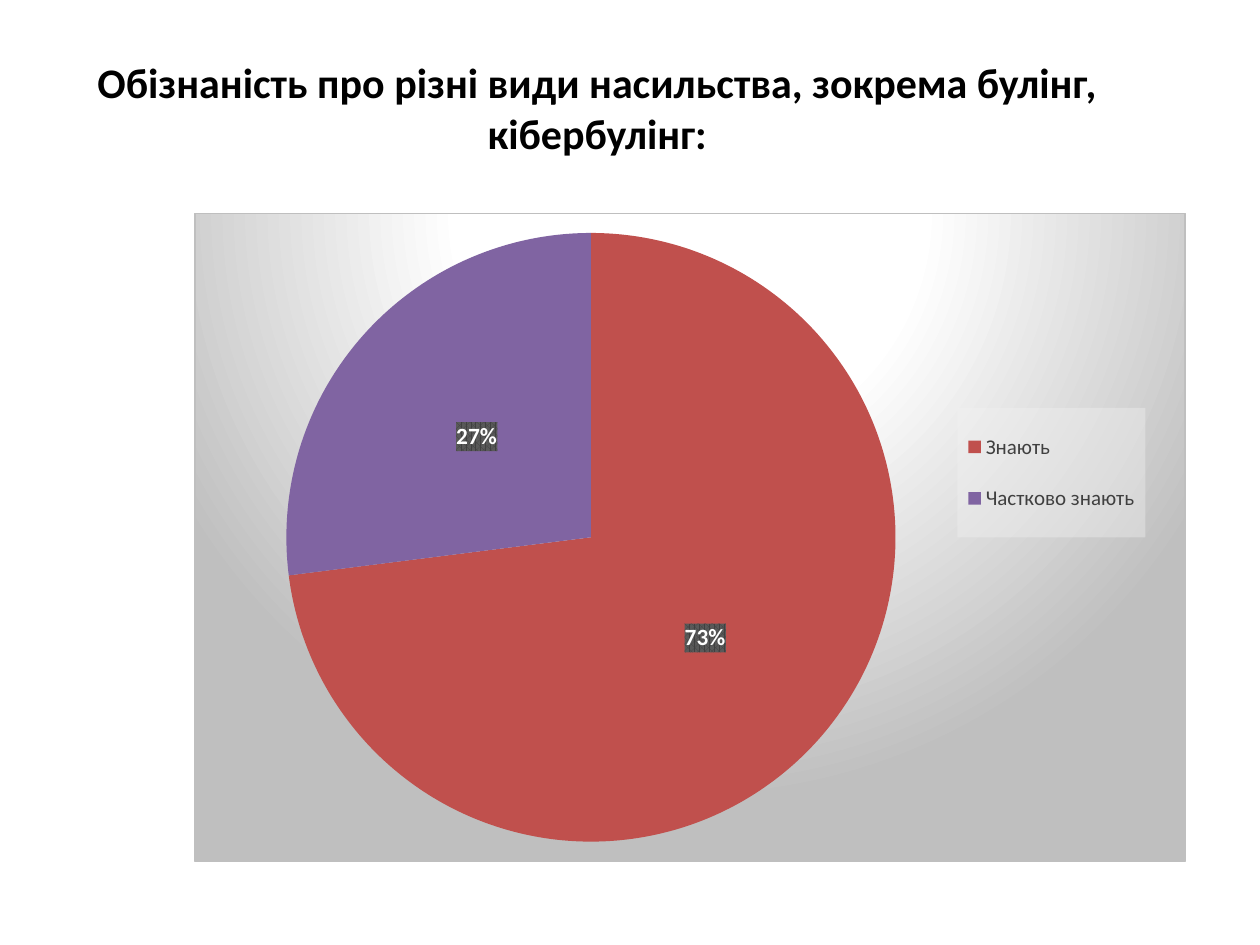
from lxml import etree
from pptx import Presentation
from pptx.chart.data import CategoryChartData
from pptx.dml.color import RGBColor
from pptx.enum.chart import XL_CHART_TYPE, XL_LABEL_POSITION, XL_LEGEND_POSITION
from pptx.enum.text import PP_ALIGN
from pptx.util import Pt

PIE = XL_CHART_TYPE.PIE
CENTER_LABEL = XL_LABEL_POSITION.CENTER
LEGEND_RIGHT = XL_LEGEND_POSITION.RIGHT
CENTER = PP_ALIGN.CENTER
CHART_NS = "http://schemas.openxmlformats.org/drawingml/2006/chart"
DRAW_NS = "http://schemas.openxmlformats.org/drawingml/2006/main"
FONT = "Calibri"
COLORS = {
    "title": "000000", "know": "C0504D", "partly": "8064A2",
    "light": "FFFFFF", "shade": "BFBFBF", "legend": "F2F2F2",
    "legend_text": "404040", "label_dark": "404040", "label_soft": "595959",
}


def chart_part(tag, content):
    return etree.fromstring(
        f'<c:{tag} xmlns:c="{CHART_NS}" xmlns:a="{DRAW_NS}">{content}</c:{tag}>')


def manual_layout(edges, inner=False):
    target = '<c:layoutTarget val="inner"/>' if inner else ""
    modes = '<c:xMode val="edge"/><c:yMode val="edge"/>'
    values = "".join(f'<c:{name} val="{value}"/>' for name, value in zip("xywh", edges))
    return chart_part("layout", f"<c:manualLayout>{target}{modes}{values}</c:manualLayout>")


deck = Presentation()
deck.slide_width, deck.slide_height = Pt(720), Pt(540)
page = deck.slides.add_slide(deck.slide_layouts[6])

box = page.shapes.add_textbox(Pt(35.3), Pt(29), Pt(612), Pt(202))
box.text_frame.word_wrap = True
para = box.text_frame.paragraphs[0]
para.alignment = CENTER
span = para.add_run()
span.text = "Обізнаність про різні види насильства, зокрема булінг, кібербулінг:"

data = CategoryChartData()
data.categories = ["Знають", "Частково знають"]
data.add_series("Series 1", (73, 27))
chart = page.shapes.add_chart(PIE, Pt(111), Pt(121.7), Pt(566.6), Pt(370.8), data).chart
chart.has_title = False
chart.has_legend = True
legend = chart.legend
legend.position = LEGEND_RIGHT
legend.include_layout = False

plot = chart.plots[0]
plot.vary_by_categories = True
for index, name in enumerate(("know", "partly")):
    fill = plot.series[0].points[index].format.fill
    fill.solid()
    fill.fore_color.rgb = RGBColor.from_string(COLORS[name])

plot.has_data_labels = True
labels = plot.data_labels
labels.show_percentage = True
labels.show_value = False
labels.number_format = "0%"
labels.number_format_is_linked = False
labels.position = CENTER_LABEL

formats = (
    (span.font, {"size": Pt(24), "bold": True}, "title"),
    (chart.font, {"size": Pt(10)}, "title"),
    (legend.font, {"size": Pt(12)}, "legend_text"),
    (labels.font, {"size": Pt(13.3), "bold": True}, "light"),
)
for font, values, color in formats:
    for name, value in {"name": FONT, **values}.items():
        setattr(font, name, value)
    font.color.rgb = RGBColor.from_string(COLORS[color])

stops = "".join(
    f'<a:gs pos="{place}"><a:srgbClr val="{COLORS[name]}"/></a:gs>'
    for place, name in ((0, "light"), (39000, "light"), (100000, "shade")))
backdrop = chart_part("spPr", (
    f'<a:gradFill><a:gsLst>{stops}</a:gsLst><a:path path="circle">'
    '<a:fillToRect l="50000" t="-80000" r="50000" b="180000"/></a:path></a:gradFill>'
    f'<a:ln w="9525"><a:solidFill><a:srgbClr val="{COLORS["shade"]}"/></a:solidFill></a:ln>'))
legend_fill = chart_part("spPr", (
    f'<a:solidFill><a:srgbClr val="{COLORS["legend"]}"><a:alpha val="39000"/>'
    '</a:srgbClr></a:solidFill><a:ln><a:noFill/></a:ln>'))
label_fill = chart_part("spPr", (
    f'<a:pattFill prst="pct75"><a:fgClr><a:srgbClr val="{COLORS["label_dark"]}"/></a:fgClr>'
    f'<a:bgClr><a:srgbClr val="{COLORS["label_soft"]}"/></a:bgClr></a:pattFill>'
    '<a:ln><a:noFill/></a:ln>'))

root = chart._chartSpace
plot_area = root.find(f".//{{{CHART_NS}}}plotArea")
for holder in (plot_area, legend._element):
    for layout in holder.findall(f"{{{CHART_NS}}}layout"):
        holder.remove(layout)
plot_area.insert(0, manual_layout((0.09, 0.03, 0.62, 0.94), inner=True))
overlay = legend._element.get_or_add_overlay()
overlay.addprevious(manual_layout((0.77, 0.3, 0.19, 0.2)))
for holder, style in ((root, backdrop), (legend._element, legend_fill), (labels._element, label_fill)):
    holder.get_or_add_txPr().addprevious(style)

deck.save("out.pptx")
